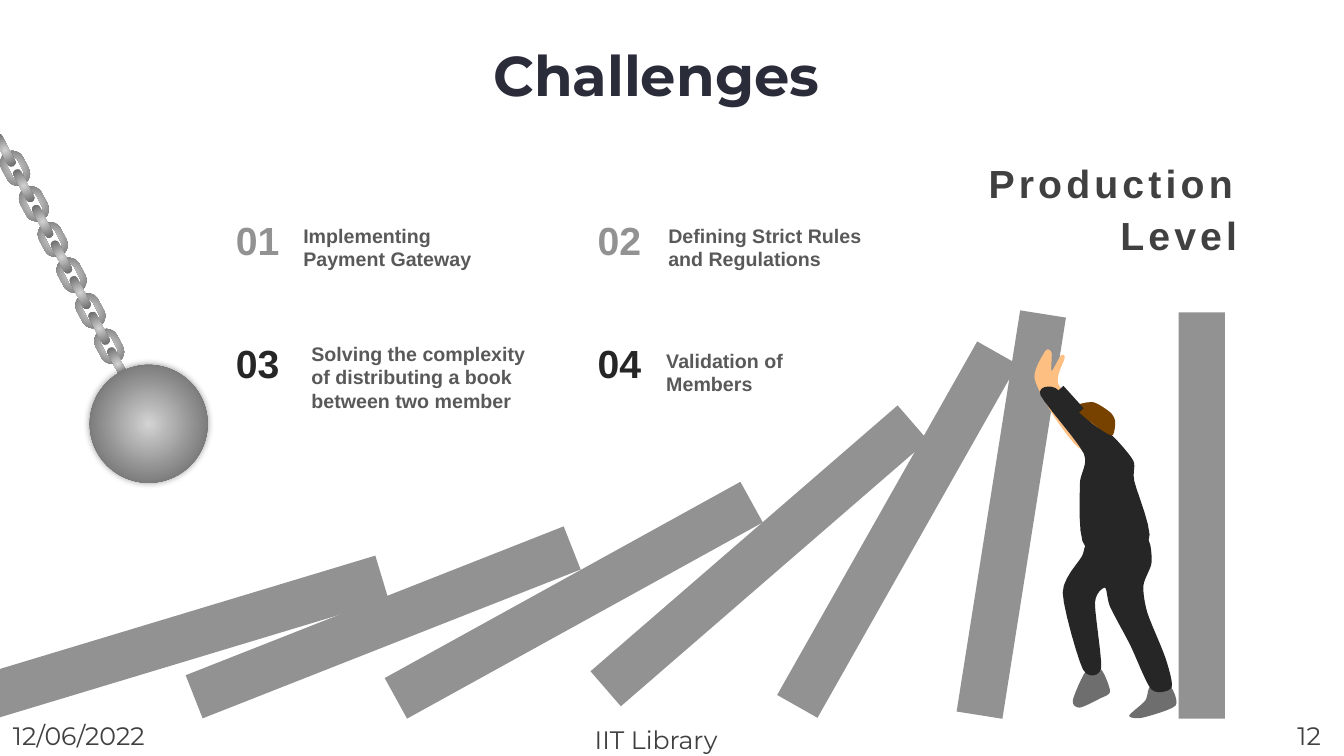
import math
from dataclasses import dataclass
from typing import NamedTuple

import pptx
import pptx.dml.color
import pptx.enum.shapes
import pptx.enum.text
import pptx.oxml.ns
import pptx.util
from lxml import etree

MSO = pptx.enum.shapes.MSO_SHAPE
ALIGN = pptx.enum.text.PP_ALIGN
ANCHOR = pptx.enum.text.MSO_ANCHOR
FIT = pptx.enum.text.MSO_AUTO_SIZE
qn = pptx.oxml.ns.qn


@dataclass(frozen=True)
class Theme:
    heading_font: str = "Montserrat"
    body_font: str = "Arial"
    title: str = "2B2C3A"
    dark: str = "262626"
    ink: str = "404040"
    body: str = "595959"
    block: str = "929292"
    metal_light: str = "D3D3D3"
    metal_dark: str = "6E6E6E"
    skin: str = "FEC082"
    hair: str = "774200"
    title_size: int = 40
    large_size: int = 28
    footer_size: int = 18
    body_size: int = 14


THEME = Theme()


class Box(NamedTuple):
    """Position and size on a grid of 13.33 columns by 7.5 rows."""
    left: float
    top: float
    width: float
    height: float


class Domino(NamedTuple):
    left: float
    top: float
    angle: float


class Challenge(NamedTuple):
    number: str
    color: str
    text: str
    box: Box


class Label(NamedTuple):
    text: str
    box: Box


class Outline(NamedTuple):
    """Corners of a rounded outline, on the slide's grid."""
    color: str
    corners: list[tuple[float, float]]


COLUMNS, ROWS = 13.33, 7.5
BLOCK_W, BLOCK_H = 0.46, 4.03
DOMINOES = [
    Domino(1.63, 4.3, 73.2), Domino(3.57, 4.16, 68.5), Domino(5.46, 3.94, 61.1),
    Domino(7.3, 3.5, 49.1), Domino(8.67, 3.24, 29.5), Domino(9.8, 3.09, 9),
    Domino(11.69, 3.1, 0),
]
NUMBER_COLUMNS, NUMBER_ROWS = (2.24, 5.83), (2.1, 3.32)
CHALLENGES = [
    Challenge("01", THEME.block, "Implementing Payment Gateway", Box(2.91, 2.17, 1.9, 0.57)),
    Challenge("02", THEME.block, "Defining Strict Rules and Regulations", Box(6.53, 2.17, 2.14, 0.57)),
    Challenge("03", THEME.dark, "Solving the complexity of distributing a book between two member",
              Box(2.99, 3.34, 2.45, 0.81)),
    Challenge("04", THEME.dark, "Validation of Members", Box(6.51, 3.41, 1.9, 0.57)),
]
FOOTERS = [
    Label("12/06/2022", Box(0.03, 7.1, 1.75, 0.4)),
    Label("IIT Library", Box(5.8, 7.14, 1.75, 0.4)),
    Label("12", Box(12.77, 7.1, 0.56, 0.4)),
]
# Shoes, legs, hands, body and hair of the man
MAN = [
    Outline(THEME.metal_dark, [(11.6, 6.8), (11.41, 6.81), (11.36, 6.95), (11.2, 7.1), (11.33, 7.12), (11.66, 7)]),
    Outline(THEME.metal_dark, [(10.77, 6.66), (10.92, 6.64), (11.01, 6.86), (10.91, 6.93), (10.71, 7.02),
                               (10.64, 6.95)]),
    Outline(THEME.dark, [(10.81, 5.37), (11.28, 5.25), (11.4, 5.38), (11.42, 5.59), (11.34, 5.81), (11.38, 6.08),
                         (11.56, 6.53), (11.62, 6.82), (11.42, 6.84), (11.21, 6.4), (11.01, 6.02), (10.96, 5.83),
                         (10.86, 5.98), (10.92, 6.63), (10.74, 6.64), (10.54, 5.88), (10.73, 5.52)]),
    Outline(THEME.skin, [(10.88, 4.2), (10.73, 4.46), (10.46, 4.14), (10.26, 3.75), (10.37, 3.48), (10.43, 3.5),
                         (10.43, 3.68), (10.52, 3.53), (10.56, 3.55), (10.5, 3.82)]),
    Outline(THEME.dark, [(11.03, 4.32), (11.24, 4.57), (11.25, 4.77), (11.39, 5.37), (10.77, 5.43), (10.71, 4.81),
                         (10.75, 4.5), (10.32, 3.92), (10.47, 3.85), (10.83, 4.2)]),
    Outline(THEME.hair, [(10.86, 4.22), (10.66, 4.04), (10.84, 3.99), (11.01, 4.09), (11.06, 4.18), (11.03, 4.32)]),
]
SLEEVE, SLEEVE_ANGLE = Box(10.57, 3.82, 0.09, 0.3), 318

prs = pptx.Presentation()
prs.slide_width, prs.slide_height = pptx.util.Inches(COLUMNS), pptx.util.Inches(ROWS)


def col(n: float) -> int:
    return round(prs.slide_width * n / COLUMNS)


def row(n: float) -> int:
    return round(prs.slide_height * n / ROWS)


def place(box: Box) -> tuple[int, int, int, int]:
    return col(box.left), row(box.top), col(box.width), row(box.height)


def rgb(color: str):
    return pptx.dml.color.RGBColor.from_string(color)


def finish(sp, color: str | None = None, angle: float = 0):
    """Fill with a plain colour, or with round metal shading if none is given."""
    sp.shadow.inherit = False
    sp.line.fill.background()
    sp.rotation = angle
    if color:
        sp.fill.solid()
        sp.fill.fore_color.rgb = rgb(color)
        return sp
    sp.fill.gradient()
    stops = zip(sp.fill.gradient_stops, (THEME.metal_light, THEME.metal_dark), (0, 0.83))
    for stop, shade, position in stops:
        stop.color.rgb, stop.position = rgb(shade), position
    grad = sp._element.spPr.find(qn("a:gradFill"))
    grad.remove(grad.find(qn("a:lin")))
    circle = etree.SubElement(grad, qn("a:path"), path="circle")
    etree.SubElement(circle, qn("a:fillToRect"), l="50000", t="50000", r="50000", b="50000")
    return sp


def add_shape(s, kind, box: Box, color: str | None = None, angle: float = 0):
    return finish(s.shapes.add_shape(kind, *place(box)), color, angle)


def add_outline(s, contours, color: str | None = None, angle: float = 0):
    contours = [[(col(x), row(y)) for x, y in points] for points in contours]
    builder = s.shapes.build_freeform(*contours[0][0], scale=1.0)
    for i, points in enumerate(contours):
        if i:
            builder.move_to(*points[0])
        builder.add_line_segments(points[1:], close=True)
    return finish(builder.convert_to_shape(), color, angle)


def rounded(corners: list[tuple[float, float]], steps: int = 6) -> list[tuple[float, float]]:
    """Join the corners by a closed smooth curve."""
    points, n = [], len(corners)
    for i in range(n):
        before, a, b, after = (corners[(i + k) % n] for k in (-1, 0, 1, 2))
        for t in (k / steps for k in range(steps)):
            weights = ((1 - t) ** 3, 3 * t * (1 - t) ** 2, 3 * t * t * (1 - t), t ** 3)
            curve = [(a[k], a[k] + (b[k] - before[k]) / 8, b[k] - (after[k] - a[k]) / 8, b[k]) for k in (0, 1)]
            x, y = (sum(w * c for w, c in zip(weights, axis)) for axis in curve)
            points.append((x, y))
    return points


def stadium(box: Box, inset: float = 0) -> list[tuple[float, float]]:
    radius, steps = box.width / 2 - inset, 12
    cx, cy, reach = box.left + box.width / 2, box.top + box.height / 2, (box.height - box.width) / 2
    return [(cx + radius * math.cos(math.pi * k / steps),
             cy + side * (reach + radius * math.sin(math.pi * k / steps)))
            for side, order in ((1, range(steps + 1)), (-1, range(steps, -1, -1))) for k in order]


def style(tf, size: int, color: str, font: str, bold: bool = True) -> None:
    for r in tf.paragraphs[0].runs:
        r.font.size, r.font.bold, r.font.name = pptx.util.Pt(size), bold, font
        r.font.color.rgb = rgb(color)


def add_text(s, text: str, box: Box, size: int, color: str, font: str = THEME.body_font, bold: bool = True):
    tf = s.shapes.add_textbox(*place(box)).text_frame
    tf.word_wrap, tf.auto_size = True, FIT.SHAPE_TO_FIT_TEXT
    tf.text = text
    style(tf, size, color, font, bold)
    return tf


def main() -> None:
    s = prs.slides.add_slide(prs.slide_layouts[5])

    # Title
    title = s.shapes.title
    title.left, title.top, title.width, title.height = place(Box(4.79, 0.43, 4.28, 0.63))
    tf = title.text_frame
    tf.text = "Challenges"
    tf.auto_size, tf.vertical_anchor = FIT.NONE, ANCHOR.TOP
    tf.paragraphs[0].alignment, tf.paragraphs[0].line_spacing = ALIGN.LEFT, 0.9
    style(tf, THEME.title_size, THEME.title, THEME.heading_font)

    # Falling dominoes and the man holding them
    for d in DOMINOES:
        add_shape(s, MSO.RECTANGLE, Box(d.left, d.top, BLOCK_W, BLOCK_H), THEME.block, d.angle)
    man = [add_outline(s, [rounded(o.corners)], o.color) for o in MAN]
    man.append(add_shape(s, MSO.RECTANGLE, SLEEVE, THEME.dark, SLEEVE_ANGLE))
    s.shapes.add_group_shape(man)

    # Wrecking ball on its chain
    step_x, step_y, tilt = 1.12 / 6, 2.12 / 6, 332.3
    parts = []
    for i in range(6):
        link = Box(0.03 + i * step_x, 1.49 + i * step_y, 0.24, 0.36)
        parts.append(add_outline(s, [stadium(link), stadium(link, 0.06)], angle=tilt))
    for i in range(7):
        pin = Box(0.01 + i * step_x, 1.31 + i * step_y, 0.08, 0.36)
        parts.append(add_shape(s, MSO.ROUNDED_RECTANGLE, pin, angle=tilt))
        parts[-1].adjustments[0] = 0.5
    ball = add_shape(s, MSO.OVAL, Box(0.89, 3.62, 1.17, 1.17))
    effects = ball._element.spPr.find(qn("a:effectLst"))
    shadow = etree.SubElement(effects, qn("a:outerShdw"), blurRad=str(pptx.util.Pt(5)), dist="0", algn="ctr")
    black = etree.SubElement(shadow, qn("a:srgbClr"), val="000000")
    etree.SubElement(black, qn("a:alpha"), val="40000")
    s.shapes.add_group_shape(parts + [ball])

    # Production level heading
    tf = add_text(s, "Production Level", Box(8.71, 1.47, 3.66, 1.16), THEME.large_size, THEME.ink)
    tf.auto_size, tf.vertical_anchor = FIT.NONE, ANCHOR.MIDDLE
    p = tf.paragraphs[0]
    p.alignment, p.line_spacing = ALIGN.RIGHT, 1.1
    p.runs[0].font._element.set("spc", "300")

    # Numbered challenges, two by two
    for i, c in enumerate(CHALLENGES):
        box = Box(NUMBER_COLUMNS[i % 2], NUMBER_ROWS[i // 2], 0.66, 0.57)
        add_text(s, c.number, box, THEME.large_size, c.color)
        add_text(s, c.text, c.box, THEME.body_size, THEME.body)

    # Footer
    for f in FOOTERS:
        add_text(s, f.text, f.box, THEME.footer_size, THEME.ink, THEME.heading_font, bold=False)

    prs.save("out.pptx")


if __name__ == "__main__":
    main()
